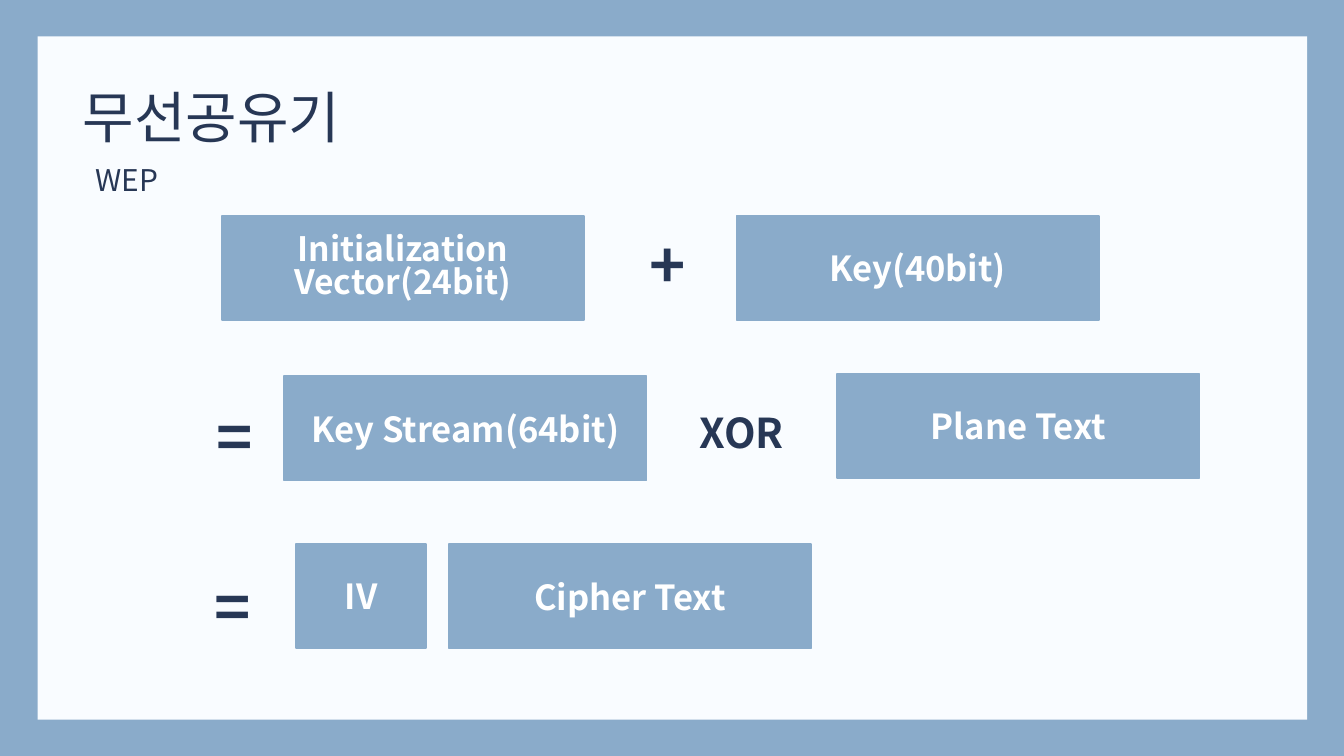
from lxml.etree import SubElement
from pptx import Presentation
from pptx.dml.color import RGBColor
from pptx.enum.shapes import MSO_SHAPE
from pptx.enum.text import MSO_ANCHOR, PP_ALIGN
from pptx.oxml.ns import qn
from pptx.util import Inches, Pt

BLUE = RGBColor(0x8A, 0xAB, 0xCA)
PAPER = RGBColor(0xF9, 0xFC, 0xFF)
NAVY = RGBColor(0x27, 0x37, 0x55)
WHITE = RGBColor(0xFF, 0xFF, 0xFF)
FONT = "Noto Sans CJK KR"
BLOCK_WIDTH, BLOCK_HEIGHT = 5.39, 1.55


def write_line(para, text, size, color, bold=True, align=PP_ALIGN.LEFT):
    para.alignment = align
    span = para.add_run()
    span.text = text
    span.font.size = Pt(size)
    span.font.bold = bold
    span.font.color.rgb = color
    span.font.name = FONT
    SubElement(span.font._element, qn("a:ea"), typeface=FONT)


def add_rectangle(page, box, fill):
    shape = page.shapes.add_shape(MSO_SHAPE.RECTANGLE, *map(Inches, box))
    shape.shadow.inherit = False
    shape.fill.solid()
    shape.fill.fore_color.rgb = fill
    shape.line.fill.background()
    return shape


def add_block(page, left, top, lines, width=BLOCK_WIDTH, size=37, spacing=None):
    shape = add_rectangle(page, (left, top, width, BLOCK_HEIGHT), BLUE)
    shape.line.color.rgb = BLUE
    shape.line.width = Pt(2)
    frame = shape.text_frame
    frame.word_wrap = True
    frame.vertical_anchor = MSO_ANCHOR.MIDDLE
    for index, text in enumerate(lines):
        para = frame.add_paragraph() if index else frame.paragraphs[0]
        para.line_spacing = spacing
        write_line(para, text, size, WHITE, align=PP_ALIGN.CENTER)


def add_text_frame(page, box):
    frame = page.shapes.add_textbox(*map(Inches, box)).text_frame
    frame.word_wrap = True
    return frame


def add_operator(page, box, text, size=66, align=PP_ALIGN.LEFT):
    frame = add_text_frame(page, box)
    write_line(frame.paragraphs[0], text, size, NAVY, align=align)


def add_heading(page, box, text, size):
    frame = add_text_frame(page, box)
    frame.margin_left = frame.margin_right = 0
    frame.margin_top = frame.margin_bottom = 0
    para = frame.paragraphs[0]
    para.line_spacing = Pt(84)
    write_line(para, text, size, NAVY, bold=False)


def add_key_row(page, top):
    add_block(page, 3.3, top, ["Initialization", "Vector(24bit)"], size=36, spacing=0.82)
    add_operator(page, (9.57, top + 0.12, 1.96, 1.21), "+")
    add_block(page, 10.96, top, ["Key(40bit)"])


def add_stream_row(page, top):
    add_operator(page, (3.12, top + 0.29, 1.96, 1.2), "=")
    add_block(page, 4.23, top, ["Key Stream(64bit)"])
    add_operator(page, (9.88, top + 0.41, 2.32, 0.84), "XOR", 44, PP_ALIGN.CENTER)
    add_block(page, 12.46, top - 0.04, ["Plane Text"])


def add_cipher_row(page, top):
    add_operator(page, (3.09, top + 0.33, 1.96, 1.21), "=")
    add_block(page, 4.41, top, ["IV"], width=1.93)
    add_block(page, 6.68, top + 0.01, ["Cipher Text"])


def main():
    deck = Presentation()
    deck.slide_width = Inches(20)
    deck.slide_height = Inches(11.25)
    page = deck.slides.add_slide(deck.slide_layouts[6])
    page.background.fill.solid()
    page.background.fill.fore_color.rgb = BLUE
    add_rectangle(page, (0.56, 0.54, 18.89, 10.17), PAPER)
    add_key_row(page, 3.21)
    add_stream_row(page, 5.6)
    add_cipher_row(page, 8.09)
    add_heading(page, (1.23, 1.06, 13.93, 1.11), "무선공유기", 60)
    add_heading(page, (1.42, 1.77, 5.63, 1), "WEP", 32)
    deck.save("out.pptx")


if __name__ == "__main__":
    main()
